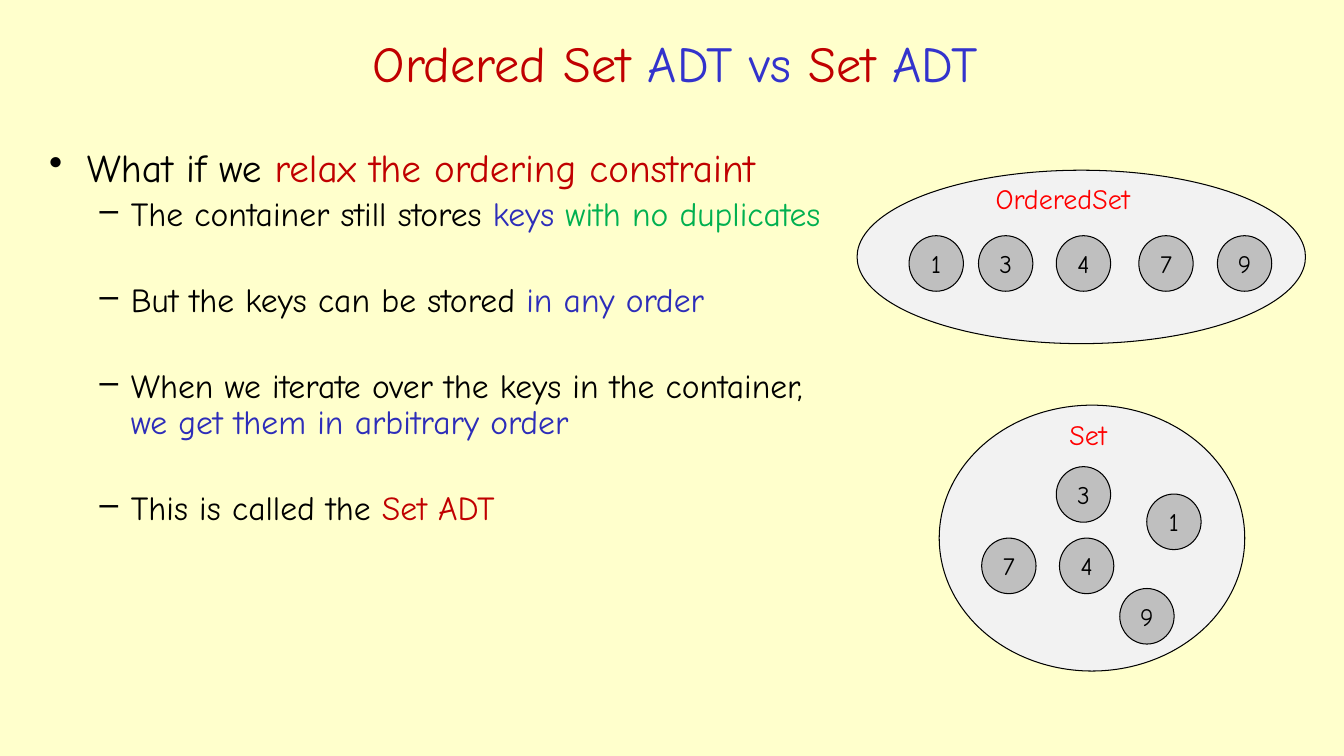
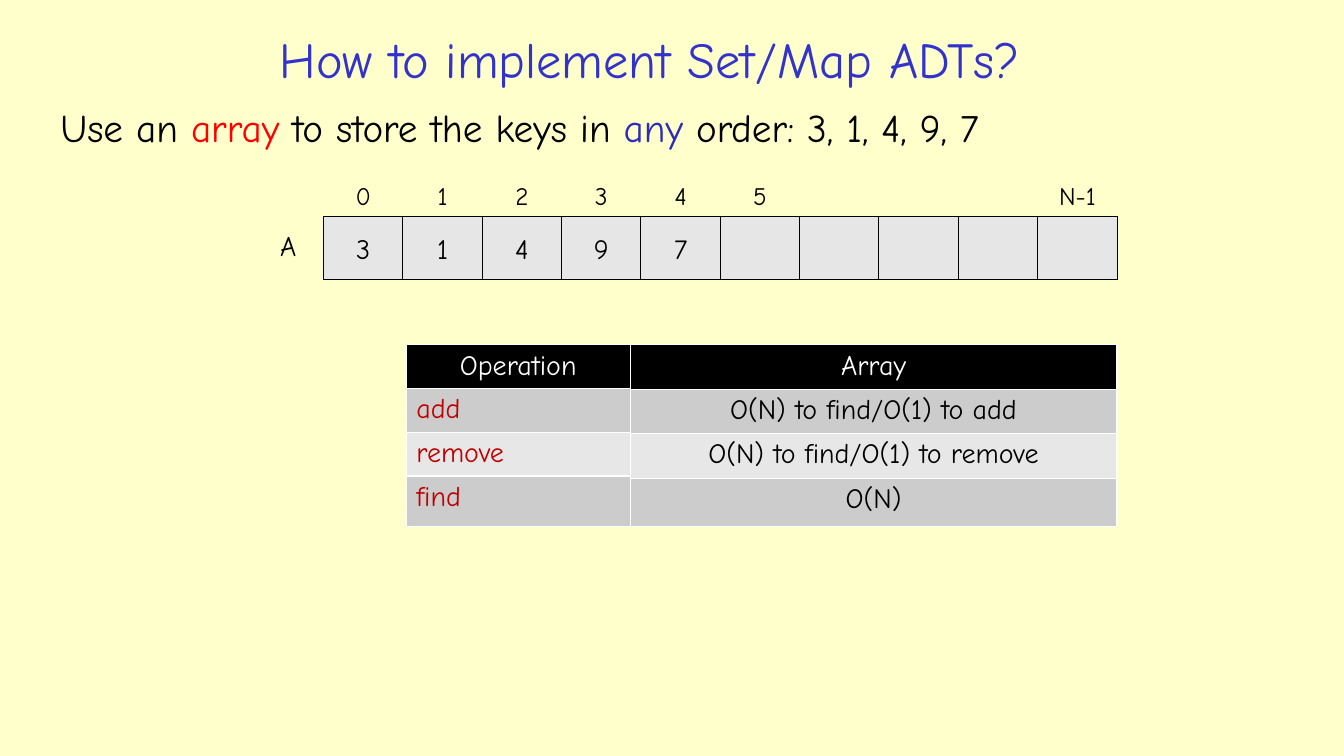
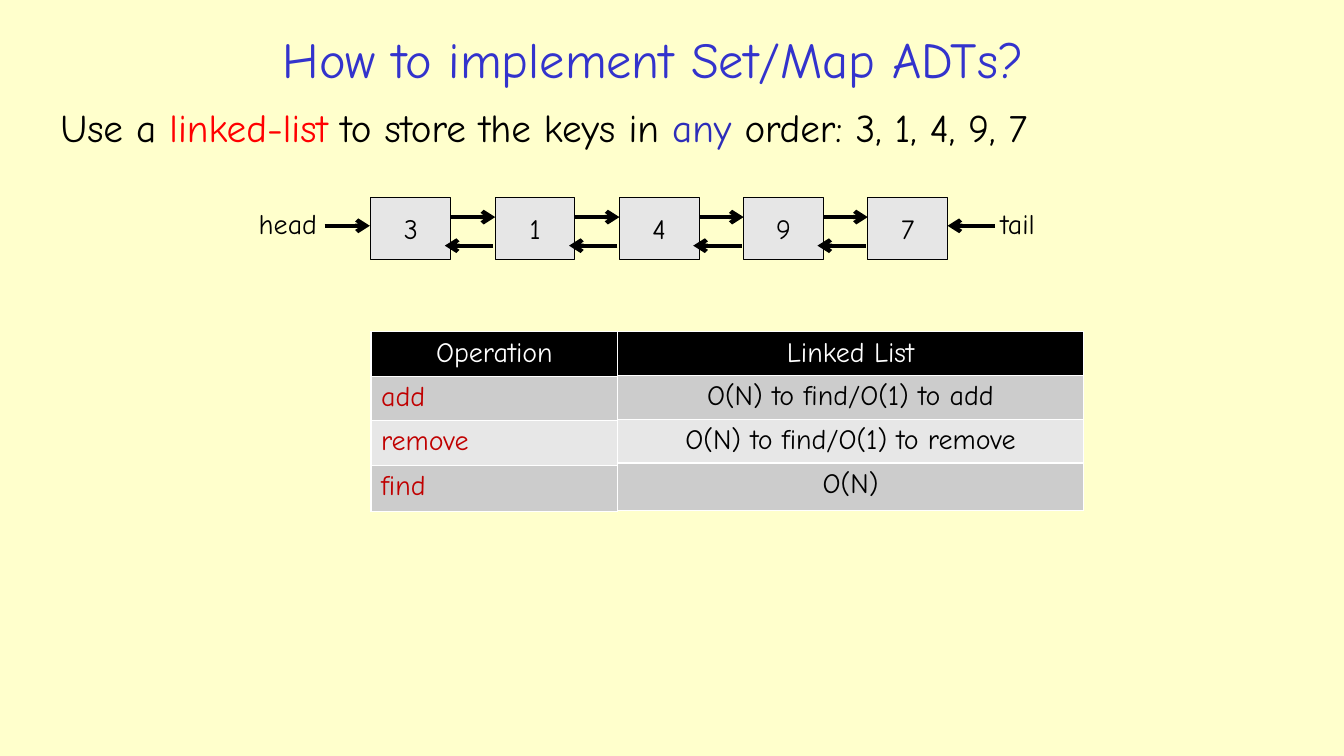
from pptx import Presentation, util as u
from pptx.dml.color import RGBColor
from pptx.enum import shapes, text
from pptx.oxml.ns import qn
from lxml import etree

Cm, Pt = u.Cm, u.Pt
FONT = "Comic Neue"
HUES = {
    "page": "FFFFCC", "title": "3333CC", "black": "000000", "white": "FFFFFF",
    "blue": "2D2DB9", "green": "00B050", "dark red": "C00000", "red": "FF0000",
    "set": "F2F2F2", "key": "BFBFBF", "cell": "E6E6E6",
    "odd": "CCCCCC", "even": "E7E7E7",
}
MID, LEFT = text.PP_ALIGN.CENTER, text.PP_ALIGN.LEFT
RECT, OVAL = shapes.MSO_SHAPE.RECTANGLE, shapes.MSO_SHAPE.OVAL

# Runs are (words, colour); boxes are (left, top, width, height) in cm.
COMPARE = [("Ordered Set ", "dark red"), ("ADT vs ", "title"),
           ("Set", "dark red"), (" ADT", "title")]
HOW = [("How to implement Set/Map ADTs?", "title")]
LEAD = [("What if we ", "black"), ("relax the ordering constraint", "dark red")]
POINTS = [
    [("The container still stores ", "black"), ("keys ", "blue"),
     ("with no duplicates", "green")],
    [("But the keys can be stored ", "black"), ("in any order", "blue")],
    [("When we iterate over the keys in the container, ", "black"),
     ("we get them in arbitrary order", "blue")],
    [("This is called the ", "black"), ("Set ADT", "dark red")],
]
SETS = [
    {"name": "OrderedSet", "oval": (21.6, 4.29, 11.3, 4.37),
     "label": (24.84, 4.44, 4.85, 1.12),
     "keys": [("1", 22.91, 5.94), ("3", 24.66, 5.94), ("4", 26.62, 5.94),
              ("7", 28.7, 5.94), ("9", 30.68, 5.94)]},
    {"name": "Set", "oval": (23.67, 10.21, 7.7, 6.7),
     "label": (26.7, 10.39, 2.2, 1.12),
     "keys": [("3", 26.62, 11.76), ("1", 28.9, 12.45), ("7", 24.74, 13.56),
              ("4", 26.7, 13.56), ("9", 28.22, 14.83)]},
]
KEYS = ["3", "1", "4", "9", "7"]
SLOTS = 10
INDEX = {0: "0", 1: "1", 2: "2", 3: "3", 4: "4", 5: "5", SLOTS - 1: "N-1"}
NAMES = ["Operation", "add", "remove", "find"]
COSTS = ["O(N) to find/O(1) to add", "O(N) to find/O(1) to remove", "O(N)"]
NODE = (2.01, 1.58)


def paint(fill, hue):
    fill.solid()
    fill.fore_color.rgb = RGBColor.from_string(HUES[hue])


def write(para, runs, size, align=LEFT):
    para.alignment = align
    para.font.name, para.font.size = FONT, Pt(size)
    for words, hue in runs:
        run = para.add_run()
        run.text = words
        run.font.color.rgb = RGBColor.from_string(HUES[hue])


def label(slide, box, runs, size, align=LEFT, anchor=text.MSO_ANCHOR.TOP):
    frame = slide.shapes.add_textbox(*map(Cm, box)).text_frame
    frame.word_wrap = True
    frame.vertical_anchor = anchor
    write(frame.paragraphs[0], runs, size, align)
    return frame


def start(deck, runs, box):
    """Add a slide with its title."""
    slide = deck.slides.add_slide(deck.slide_layouts[6])
    label(slide, box, runs, 36, MID, text.MSO_ANCHOR.MIDDLE)
    return slide


def block(slide, kind, box, hue, words="", size=20):
    shape = slide.shapes.add_shape(kind, *map(Cm, box))
    shape.shadow.inherit = False
    paint(shape.fill, hue)
    paint(shape.line.fill, "black")
    shape.line.width = Pt(0.75)
    if words:
        frame = shape.text_frame
        frame.margin_left = frame.margin_right = 0
        frame.margin_top = frame.margin_bottom = 0
        frame.vertical_anchor = text.MSO_ANCHOR.MIDDLE
        write(frame.paragraphs[0], [(words, "black")], size, MID)


def arrow(slide, x1, x2, y):
    line = slide.shapes.add_connector(
        shapes.MSO_CONNECTOR.STRAIGHT, Cm(x1), Cm(y), Cm(x2), Cm(y))
    paint(line.line.fill, "black")
    line.line.width = Pt(3)
    props = line.line._get_or_add_ln()
    etree.SubElement(props, qn("a:tailEnd"), type="arrow")
    etree.SubElement(line._element.spPr, qn("a:effectLst"))


def bullet(para, mark, left, hang):
    props = para._p.get_or_add_pPr()
    props.set("marL", str(Cm(left)))
    props.set("indent", str(-Cm(hang)))
    etree.SubElement(props, qn("a:buChar"), char=mark)
    para.line_spacing = 0.9


def column(slide, left, top, width, rows, cells, hue, align):
    """Add a table of one column, the first cell being its header."""
    table = slide.shapes.add_table(
        len(cells), 1, *map(Cm, (left, top, width, sum(rows)))).table
    table.horz_banding = False
    for i, (high, words) in enumerate(zip(rows, cells)):
        table.rows[i].height = Cm(high)
        cell = table.cell(i, 0)
        paint(cell.fill, "black" if i == 0 else "odd" if i % 2 else "even")
        para = cell.text_frame.paragraphs[0]
        write(para, [(words, hue if i else "white")], 20, align if i else MID)
        para.runs[0].font.bold = False


def costs(slide, left, top, widths, heights, head):
    """Add the operations and, beside them, what each one costs."""
    column(slide, left, top, widths[0], heights[0], NAMES, "dark red", LEFT)
    column(slide, left + widths[0], top, widths[1], heights[1],
           [head] + COSTS, "black", MID)


def intro(slide, begin, word):
    runs = [(begin, "black"), (word, "red"), (" to store the keys in ", "black"),
            ("any", "blue"), (" order: 3, 1, 4, 9, 7", "black")]
    label(slide, (1.27, 2.62, 30.55, 1.78), runs, 28).paragraphs[0].line_spacing = 0.9


def compare(deck):
    slide = start(deck, COMPARE, (4.9, 0.66, 24.23, 1.8))
    frame = label(slide, (0.99, 3.61, 20.5, 13.89), [], 28)
    lead = frame.paragraphs[0]
    bullet(lead, "•", 0.95, 0.95)
    write(lead, LEAD, 28)
    for i, runs in enumerate(POINTS):
        para = frame.add_paragraph()
        bullet(para, "–", 2.06, 0.79)
        para.space_before = Pt(35.6 if i else 4.8)
        write(para, runs, 24)
    for group in SETS:
        block(slide, OVAL, group["oval"], "set")
        for key, x, y in group["keys"]:
            block(slide, OVAL, (x, y, 1.37, 1.4), "key", key, 18)
        label(slide, group["label"], [(group["name"], "red")], 20)


def array(deck):
    slide = start(deck, HOW, (1.57, 0.69, 29.62, 1.57))
    intro(slide, "Use an ", "array")
    costs(slide, 10.24, 8.69, (5.64, 12.27),
          ([1.07] * 3 + [1.27], [1.12] * 3 + [1.22]), "Array")
    left, top, pitch = 8.15, 5.46, 2
    for i in range(SLOTS):
        x = left + i * pitch
        block(slide, RECT, (x, top, *NODE), "cell", KEYS[i] if i < len(KEYS) else "")
        if i in INDEX:
            label(slide, (x, 4.42, NODE[0], 1.02), [(INDEX[i], "black")], 18, MID)
    label(slide, (6.81, 5.64, 1.04, 1.12), [("A", "black")], 20)


def chain(deck):
    slide = start(deck, HOW, (1.55, 0.69, 29.82, 1.57))
    intro(slide, "Use a ", "linked-list")
    costs(slide, 9.35, 8.36, (6.22, 11.73),
          ([1.12] * 3 + [1.17], [1.07] * 3 + [1.19]), "Linked List")
    left, top, pitch, wide = 9.35, 4.97, 3.13, NODE[0]
    spots = [left + i * pitch for i in range(len(KEYS))]
    for x, key in zip(spots, KEYS):
        block(slide, RECT, (x, top, *NODE), "cell", key)
    for x, after in zip(spots, spots[1:]):
        arrow(slide, x + wide, after, top + 0.5)
        arrow(slide, after - 0.05, x + wide - 0.15, top + 1.22)
    end = spots[-1] + wide
    arrow(slide, left - 1.17, left - 0.03, top + 0.72)
    arrow(slide, end + 1.2, end, top + 0.72)
    label(slide, (6.27, 5.08, 2.11, 1.12), [("head", "black")], 20)
    label(slide, (24.97, 5.08, 1.7, 1.12), [("tail", "black")], 20)


def main():
    deck = Presentation()
    deck.slide_width, deck.slide_height = Cm(33.87), Cm(19.05)
    paint(deck.slide_master.background.fill, "page")
    for build in (compare, array, chain):
        build(deck)
    deck.save("out.pptx")


if __name__ == "__main__":
    main()
